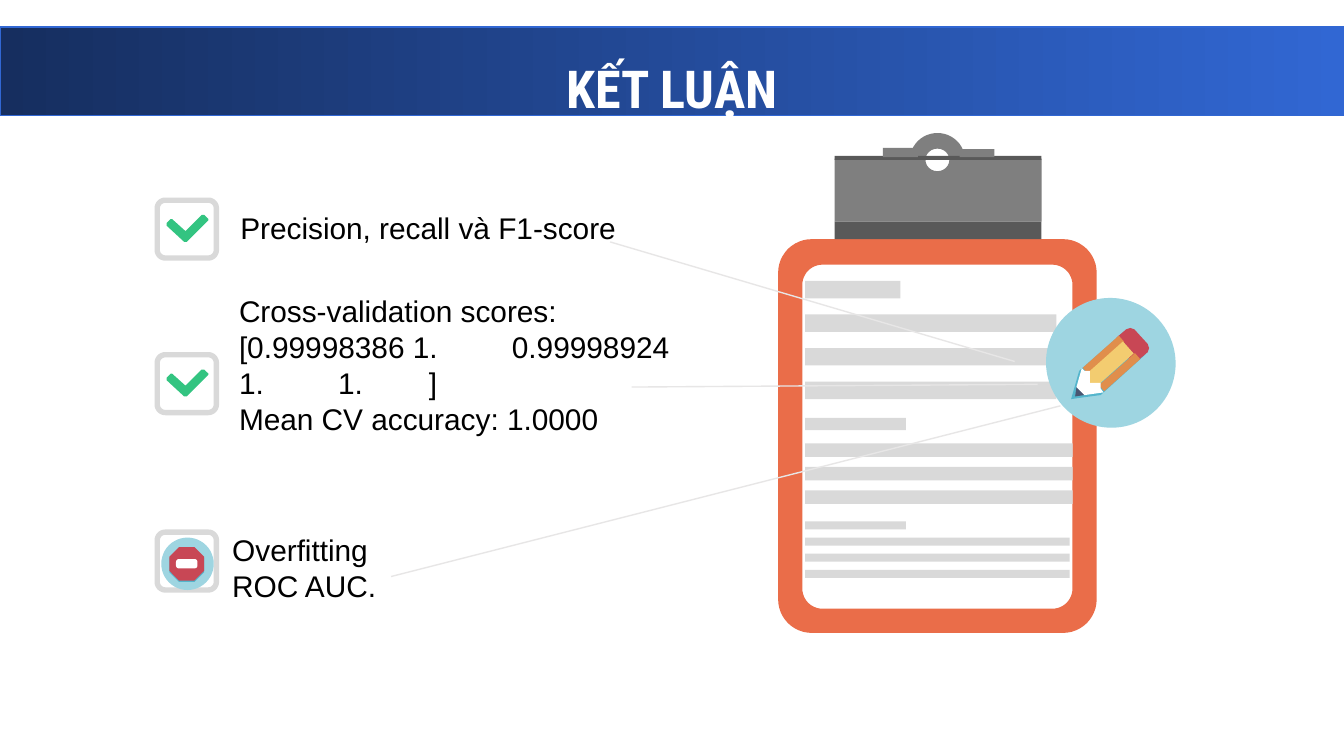
import math
from lxml import etree
from pptx import Presentation
from pptx.dml.color import RGBColor
from pptx.enum import shapes as kinds, text as styles
from pptx.oxml.ns import qn
from pptx.util import Inches, Pt

COLORS = {
    "navy": "162E5F", "blue": "3167D3", "orange": "EA6D49", "gray": "7F7F7F",
    "dark": "595959", "light": "D9D9D9", "rule": "E7E6E6", "green": "33C481",
    "sky": "9ED5E1", "teal": "54B5CC", "red": "C84755", "ochre": "E08E4C",
    "yellow": "F3CC70", "slate": "495672", "white": "FFFFFF", "black": "000000",
}
TITLE = "KẾT LUẬN"

# Text boxes: left, top, width, height, alignment, paragraphs
NOTES = [
    (1.63, 3.91, 3.07, 0.91, "LEFT", ["Overfitting", "ROC AUC."]),
    (1.68, 2.13, 3.52, 1.18, "LEFT", [
        "Cross-validation scores: [0.99998386 1.         0.99998924 1.         1.        ]",
        "Mean CV accuracy: 1.0000"]),
    (1.69, 1.51, 3.07, 0.37, "JUSTIFY", ["Precision, recall và F1-score"]),
]
CALLOUTS = [((7.55, 2.69), (4.54, 1.8)), ((7.72, 2.86), (4.7, 2.88)),
            ((7.89, 3.02), (2.91, 4.29))]

# Lines of writing on the clipboard: heading top, first line top, last line top,
# heading size, line size
WRITING = [
    (2.09, 2.34, 2.84, (0.71, 0.13), (1.87, 0.13)),
    (3.11, 3.3, 3.65, (0.75, 0.09), (1.99, 0.1)),
    (3.88, 4.0, 4.24, (0.75, 0.06), (1.97, 0.06)),
]
WRITING_LEFT, LINES = 5.99, 3

CLIP_BARS = [(6.21, 1.16, 1.54, 0.03, "dark"), (6.57, 1.1, 0.26, 0.07, "gray"),
             (7.14, 1.11, 0.26, 0.06, "gray")]

# Checkboxes: the first two are ticked, the last holds a stop sign
BOX_LEFT, BOX_WIDTH, BOX_HEIGHT = 1.15, 0.48, 0.47
TICKED_TOPS, STOP_TOP = (1.47, 2.62), 3.94
TICK = [(0.4, 0.16), (0.37, 0.13), (0.35, 0.13), (0.23, 0.25), (0.13, 0.16),
        (0.12, 0.16), (0.09, 0.19), (0.09, 0.21), (0.22, 0.33), (0.24, 0.33),
        (0.4, 0.17)]

# Pencil parts
PENCIL_ANGLE = 48.3
PENCIL_SHADOW = [(7.97, 2.97), (7.99, 2.9), (8.03, 2.76), (8.36, 2.47), (8.39, 2.46),
                 (8.42, 2.47), (8.52, 2.58), (8.53, 2.61), (8.52, 2.64),
                 (8.19, 2.94), (8.04, 2.96)]
ERASER = [(8.47, 2.68), (8.44, 2.69), (8.41, 2.68), (8.31, 2.57), (8.3, 2.54),
          (8.31, 2.51), (8.38, 2.45), (8.41, 2.44), (8.44, 2.45), (8.54, 2.56),
          (8.55, 2.59), (8.54, 2.62)]
PENCIL_STRIPES = [(8.18, 2.46, 0.06, 0.36, "ochre"), (8.19, 2.52, 0.12, 0.39, "yellow"),
                  (8.3, 2.59, 0.06, 0.36, "ochre")]
LEAD = [(8, 2.95), (8.07, 2.94), (8.01, 2.88)]
WOOD = [(8.05, 2.74), (8.01, 2.88), (8.07, 2.94), (8.21, 2.92), (8.19, 2.89),
        (8.19, 2.85), (8.11, 2.85), (8.11, 2.76), (8.07, 2.76)]


def color(name):
    return RGBColor.from_string(COLORS[name])


def paint(shape, name):
    shape.shadow.inherit = False
    shape.fill.solid()
    shape.fill.fore_color.rgb = color(name)
    shape.line.fill.background()
    return shape


def preset(owner, kind, left, top, width, height, name, rotation=0):
    kind = getattr(kinds.MSO_SHAPE, kind)
    shape = owner.shapes.add_shape(kind, *map(Inches, (left, top, width, height)))
    shape.rotation = rotation
    return paint(shape, name)


def outline(owner, name, *contours):
    contours = [[(Inches(x), Inches(y)) for x, y in points] for points in contours]
    builder = owner.shapes.build_freeform(*contours[0][0])
    for index, points in enumerate(contours):
        if index:
            builder.move_to(*points[0])
        builder.add_line_segments(points[1:], close=True)
    return paint(builder.convert_to_shape(), name)


def arc(x, y, radius, start, end, steps=12):
    angles = [math.radians(start + (end - start) * i / steps) for i in range(steps + 1)]
    return [(x + radius * math.cos(a), y + radius * math.sin(a)) for a in angles]


def rounded(left, top, width, height, radius):
    right, bottom = left + width - radius, top + height - radius
    left, top = left + radius, top + radius
    corners = [(right, bottom), (left, bottom), (left, top), (right, top)]
    return [point for i, (x, y) in enumerate(corners)
            for point in arc(x, y, radius, 90 * i, 90 * i + 90)]


def checkbox(owner, top):
    outline(owner, "light", rounded(BOX_LEFT, top, BOX_WIDTH, BOX_HEIGHT, 0.08),
            rounded(BOX_LEFT + 0.04, top + 0.04, BOX_WIDTH - 0.08, BOX_HEIGHT - 0.08, 0.04))


def write(frame, lines, alignment, font):
    for index, line in enumerate(lines):
        paragraph = frame.paragraphs[0] if index == 0 else frame.add_paragraph()
        paragraph.alignment = getattr(styles.PP_ALIGN, alignment)
        run = paragraph.add_run()
        run.text = line
        for key, value in font.items():
            if key == "color":
                run.font.color.rgb = color(value)
            else:
                setattr(run.font, key, value)


presentation = Presentation()
presentation.slide_width = Inches(10)
presentation.slide_height = presentation.slide_width * 9 // 16
slide = presentation.slides.add_slide(presentation.slide_layouts[5])

# Clipboard and its clip
outline(slide, "orange", rounded(5.79, 1.78, 2.37, 2.93, 0.25),
        rounded(5.97, 1.97, 2.01, 2.56, 0.15))
outline(slide, "gray", [(6.21, 1.18), (6.21, 1.65), (7.75, 1.65), (7.75, 1.18)]
        + arc(6.98, 1.18, 0.12, 0, 180))
preset(slide, "RECTANGLE", 6.21, 1.65, 1.54, 0.13, "dark")
ring = preset(slide, "DONUT", 6.77, 0.99, 0.41, 0.4, "gray")
ring.adjustments[0] = 0.29
for *place, name in CLIP_BARS:
    preset(slide, "RECTANGLE", *place, name)

# Writing on the paper
for heading_top, first_top, last_top, heading, line in WRITING:
    group = slide.shapes.add_group_shape()
    preset(group, "RECTANGLE", WRITING_LEFT, heading_top, *heading, "light")
    pitch = (last_top - first_top) / (LINES - 1)
    for row in range(LINES):
        preset(group, "RECTANGLE", WRITING_LEFT, first_top + row * pitch, *line, "light")

# Ticked boxes
for top in TICKED_TOPS:
    group = slide.shapes.add_group_shape()
    checkbox(group, top)
    outline(group, "green", [(BOX_LEFT + x, top + y) for x, y in TICK])

# Box with a stop sign
group = slide.shapes.add_group_shape()
checkbox(group, STOP_TOP)
preset(group, "OVAL", 1.2, 4, 0.39, 0.39, "sky")
for top, name in ((4.08, "teal"), (4.07, "red")):
    preset(group, "OCTAGON", 1.26, top, 0.26, 0.25, name)
bar = preset(group, "ROUNDED_RECTANGLE", 1.31, 4.16, 0.16, 0.07, "white")
bar.adjustments[0] = 0.3

# Pencil badge
group = slide.shapes.add_group_shape()
preset(group, "OVAL", 7.78, 2.22, 0.97, 0.96, "sky", PENCIL_ANGLE)
outline(group, "teal", PENCIL_SHADOW)
outline(group, "red", ERASER)
for *place, name in PENCIL_STRIPES:
    preset(group, "RECTANGLE", *place, name, PENCIL_ANGLE)
outline(group, "slate", LEAD)
outline(group, "white", WOOD)

# Notes
for *place, alignment, lines in NOTES:
    frame = slide.shapes.add_textbox(*map(Inches, place)).text_frame
    frame.word_wrap = True
    write(frame, lines, alignment, {"size": Pt(16), "name": "Arial", "color": "black"})

# Callout lines
for start, end in CALLOUTS:
    connector = slide.shapes.add_connector(
        kinds.MSO_CONNECTOR.STRAIGHT, *map(Inches, start + end))
    connector.line.color.rgb = color("rule")
    connector.line.width = Pt(0.75)
    etree.SubElement(connector._element.spPr, qn("a:effectLst"))

# Title banner
banner = preset(slide, "RECTANGLE", 0, 0.2, 10, 0.66, "blue")
banner.fill.gradient()
banner.fill.gradient_angle = 0
for stop, name in zip(banner.fill.gradient_stops, ("navy", "blue")):
    stop.color.rgb = color(name)
banner.line.color.rgb = color("blue")
banner.line.width = Pt(0.75)

# Title, in front of the banner
title = slide.shapes.title
slide.shapes._spTree.append(title._element)
title.left, title.top, title.width, title.height = map(Inches, (0.5, 0.45, 9, 0.41))
frame = title.text_frame
for side in ("left", "top", "right", "bottom"):
    setattr(frame, f"margin_{side}", Inches(0.1))
frame.vertical_anchor = styles.MSO_ANCHOR.MIDDLE
frame.auto_size = styles.MSO_AUTO_SIZE.NONE
write(frame, [TITLE], "CENTER", {"size": Pt(28), "name": "Roboto Condensed",
                                 "bold": True, "color": "white"})

presentation.save("out.pptx")
